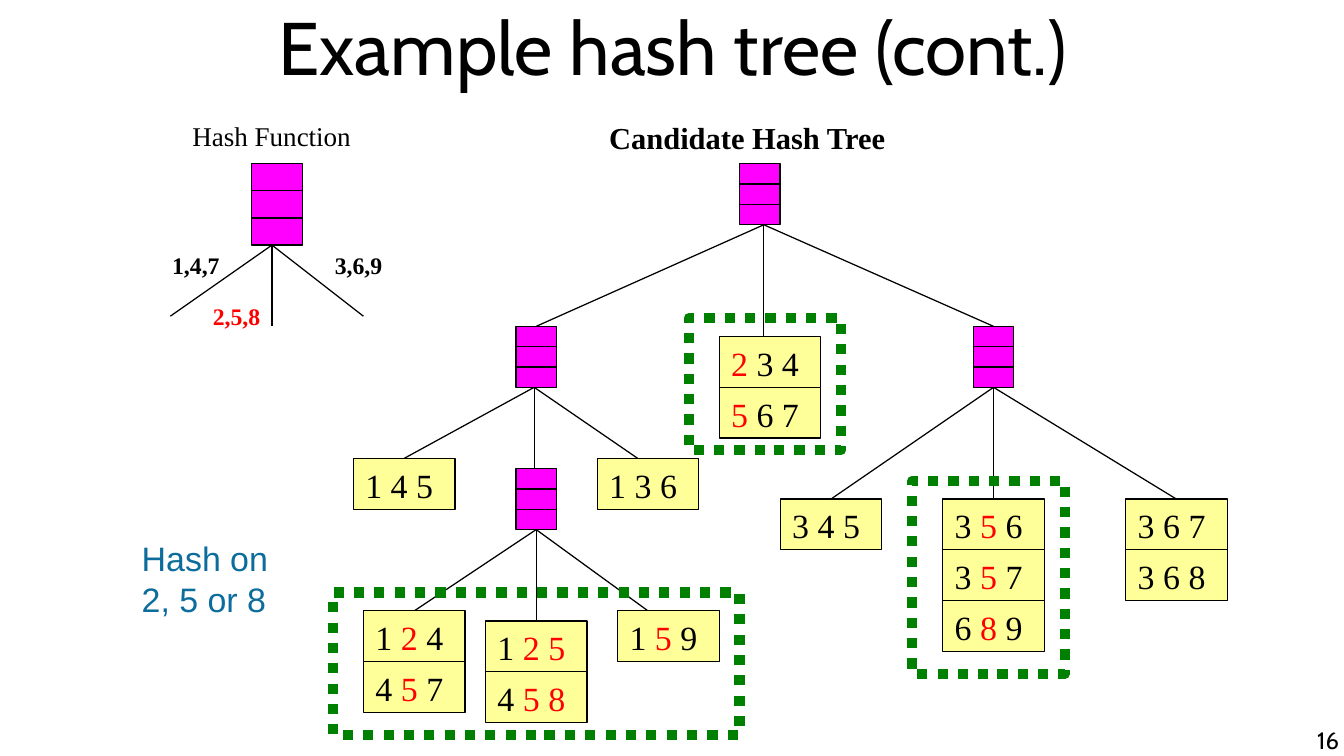
"""Builds the slide "Example hash tree (cont.)"."""
import dataclasses

import lxml.etree
import pptx
import pptx.dml.color
import pptx.enum.dml
import pptx.enum.shapes
import pptx.enum.text
import pptx.oxml.ns
import pptx.util

ALIGN = pptx.enum.text.PP_ALIGN
ANCHOR = pptx.enum.text.MSO_ANCHOR
RECT = pptx.enum.shapes.MSO_SHAPE.RECTANGLE


@dataclasses.dataclass(frozen=True)
class Theme:
    """Colours, fonts, type sizes and line widths in points."""
    black: str = "000000"
    red: str = "FF0000"
    blue: str = "0C6D9C"
    node: str = "FF00FF"
    leaf: str = "FFFF99"
    frame: str = "008000"
    head_font: str = "Cabin"
    tree_font: str = "Times New Roman"
    note_font: str = "Arial"
    title: int = 44
    item: int = 20
    heading: int = 18
    label: int = 16
    small: int = 14
    thin: float = 0.75
    thick: float = 6


class HashTreeSlide:
    """Draws on one slide, in grid cells of a twelfth of an inch."""
    cell, left, top = 1 / 12, -0.02, 0.01

    def __init__(self, prs, theme):
        """Add a title-only slide to the presentation."""
        self.theme = theme
        self.s = prs.slides.add_slide(prs.slide_layouts[5])

    def span(self, n):
        """Return the length of n grid cells."""
        return pptx.util.Inches(n * self.cell)

    def point(self, col, row):
        """Return the place of a grid point."""
        return (pptx.util.Inches(self.left + col * self.cell),
                pptx.util.Inches(self.top + row * self.cell))

    def box(self, col, row, cols, rows):
        """Return left, top, width and height of a grid area."""
        return (*self.point(col, row), self.span(cols), self.span(rows))

    def rgb(self, colour):
        """Return a colour object for a hex string."""
        return pptx.dml.color.RGBColor.from_string(colour)

    def set_text(self, sp, text, size, font, colour=None, bold=False,
                 align=ALIGN.LEFT, anchor=ANCHOR.TOP, inset=True, wrap=True):
        """Fill a shape with text; parts between bars turn red."""
        tf = sp.text_frame
        tf.word_wrap, tf.vertical_anchor = wrap, anchor
        tf.auto_size = pptx.enum.text.MSO_AUTO_SIZE.NONE
        tf.margin_left = tf.margin_right = pptx.util.Inches(0.1 * inset)
        tf.margin_top = tf.margin_bottom = pptx.util.Inches(0.05 * inset)
        p = tf.paragraphs[0]
        p.alignment = align
        p.font.size, p.font.name, p.font.bold = pptx.util.Pt(size), font, bold
        for i, part in enumerate(text.split("|")):
            if part:
                r = p.add_run()
                r.text = part
                r.font.color.rgb = self.rgb(
                    self.theme.red if i % 2 else colour or self.theme.black)

    def title(self, text, *area):
        """Move and fill the title placeholder."""
        sp = self.s.shapes.title
        sp.left, sp.top, sp.width, sp.height = self.box(*area)
        self.set_text(sp, text, self.theme.title, self.theme.head_font,
                      align=ALIGN.CENTER, anchor=ANCHOR.MIDDLE, inset=False)

    def label(self, text, area, size, font=None, **style):
        """Add a text box."""
        sp = self.s.shapes.add_textbox(*self.box(*area))
        self.set_text(sp, text, size, font or self.theme.tree_font, **style)

    def rect(self, area, line, width, fill=None):
        """Add an outlined rectangle, filled or open."""
        sp = self.s.shapes.add_shape(RECT, *self.box(*area))
        sp.shadow.inherit = False
        if fill:
            sp.fill.solid()
            sp.fill.fore_color.rgb = self.rgb(fill)
        else:
            sp.fill.background()
        sp.line.color.rgb = self.rgb(line)
        sp.line.width = pptx.util.Pt(width)
        return sp

    def line(self, start, end):
        """Add a thin straight line."""
        cx = self.s.shapes.add_connector(
            pptx.enum.shapes.MSO_CONNECTOR.STRAIGHT,
            *self.point(*start), *self.point(*end))
        cx.line.color.rgb = self.rgb(self.theme.black)
        cx.line.width = pptx.util.Pt(self.theme.thin)
        lxml.etree.SubElement(cx._element.spPr, pptx.oxml.ns.qn("a:effectLst"))

    def branches(self, apex, *ends):
        """Fan lines out from one point."""
        for end in ends:
            self.line(apex, end)

    def node(self, col, row, cols=4, rows=6):
        """Add a hash node with three slots."""
        self.rect((col, row, cols, rows), self.theme.black, self.theme.thin, self.theme.node)
        for i in (1, 2):
            y = row + rows * i / 3
            self.line((col, y), (col + cols, y))

    def leaf(self, col, row, *itemsets):
        """Stack candidate itemsets in a leaf."""
        for i, items in enumerate(itemsets):
            sp = self.rect((col, row + 5 * i, 10, 5), self.theme.black,
                           self.theme.thin, self.theme.leaf)
            self.set_text(sp, items, self.theme.item, self.theme.tree_font)

    def frame(self, *area):
        """Add a dotted highlight frame."""
        sp = self.rect(area, self.theme.frame, self.theme.thick)
        sp.line.dash_style = pptx.enum.dml.MSO_LINE.ROUND_DOT


def main():
    """Build and save the slide."""
    prs = pptx.Presentation()
    prs.slide_width, prs.slide_height = pptx.util.Inches(11.02), pptx.util.Inches(6.2)
    theme = Theme()
    s = HashTreeSlide(prs, theme)
    s.title("Example hash tree (cont.)", 7, -0.6, 119, 10)

    s.branches((75.4, 22), (53, 32), (75.4, 33), (98, 32))
    s.branches((52.8, 38), (40, 45), (52.8, 46), (63, 45))
    s.branches((98, 38), (82, 49), (98, 49), (116, 49))
    s.branches((53, 52), (41, 60), (53, 61), (64, 60))
    for col, row in ((73, 16), (51, 32), (96, 32), (51, 46)):
        s.node(col, row)
    for col, row, *itemsets in (
            (35, 45, "1 4 5"),
            (59, 45, "1 3 6"),
            (36, 60, "1 |2| 4", "4 |5| 7"),
            (48, 61, "1 |2 5|", "4 |5 8|"),
            (61, 60, "1 |5| 9"),
            (71, 33, "|2| 3 4", "|5| 6 7"),
            (77, 49, "3 4 5"),
            (93, 49, "3 |5| 6", "3 |5| 7", "6 |8| 9"),
            (111, 49, "3 6 7", "3 6 8")):
        s.leaf(col, row, *itemsets)

    s.node(25, 16, 5, 8)
    s.branches((27, 24), (17, 31), (27, 32), (36, 31))
    for text, col, row in (("1,4,7", 16, 24), ("|2,5,8|", 20, 29), ("3,6,9", 32, 24)):
        s.label(text, (col, row, 7, 4), theme.small, bold=True, wrap=False)
    s.label("Hash Function", (18, 11, 18, 4.5), theme.label, wrap=False)
    s.label("Candidate Hash Tree", (59, 11, 29.5, 5), theme.heading, bold=True, wrap=False)

    s.frame(33, 58.2, 40, 14)
    s.frame(68, 31.2, 15, 13)
    s.frame(90, 47.2, 15, 19)
    s.label("Hash on 2, 5 or 8", (13, 52.2, 15, 9), theme.item, theme.note_font,
            colour=theme.blue)
    s.label("16", (101, 71.3, 31, 3), theme.small, theme.head_font,
            align=ALIGN.RIGHT, inset=False)
    prs.save("out.pptx")


if __name__ == "__main__":
    main()
